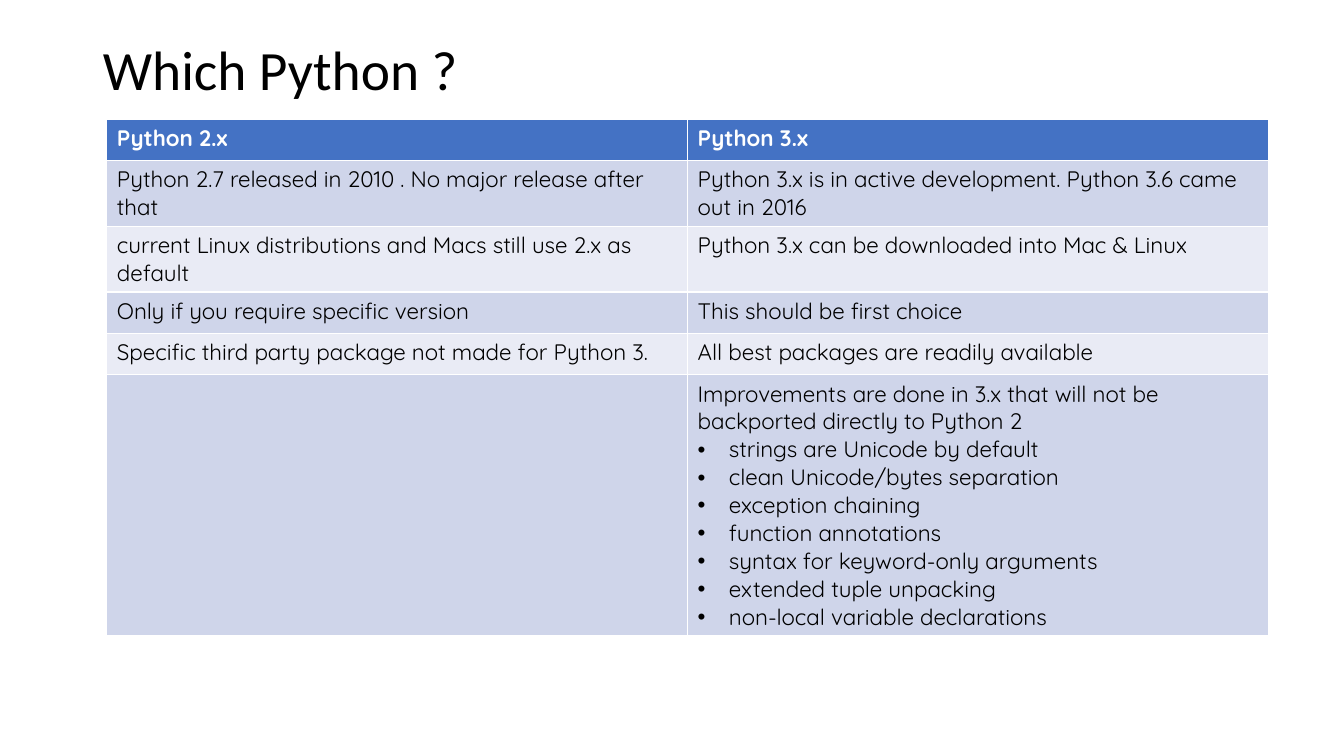
from lxml.etree import SubElement
from pptx import Presentation
from pptx.dml.color import RGBColor
from pptx.enum.text import MSO_ANCHOR, MSO_AUTO_SIZE, PP_ALIGN
from pptx.oxml.ns import qn
from pptx.util import Inches, Pt

COLORS = {
    "text": "000000",
    "header": "4472C4",
    "header_text": "FFFFFF",
    "odd_row": "CFD5EA",
    "even_row": "E9EBF5",
}
IMPROVEMENTS = [
    "strings are Unicode by default",
    "clean Unicode/bytes separation",
    "exception chaining",
    "function annotations",
    "syntax for keyword-only arguments",
    "extended tuple unpacking",
    "non-local variable declarations",
]
COMPARISON = [
    ("Python 2.x", "Python 3.x"),
    ("Python 2.7 released in 2010 . No major release after that",
     "Python 3.x is in active development. Python 3.6 came out in 2016"),
    ("current Linux distributions and Macs still use 2.x as default",
     "Python 3.x can be downloaded into Mac & Linux"),
    ("Only if you require specific version", "This should be first choice"),
    ("Specific third party package not made for Python 3.",
     "All best packages are readily available"),
    ("", "Improvements are done in 3.x that will not be backported directly to Python 2"),
]
ROW_HEIGHT = 0.41


def format_paragraph(para, font_name, size, color, bold=False):
    for span in para.runs:
        span.font.name = font_name
        span.font.size = Pt(size)
        span.font.bold = bold
        span.font.color.rgb = RGBColor.from_string(COLORS[color])


def add_bullet(para):
    properties = para._p.get_or_add_pPr()
    properties.set("marL", str(Inches(0.31)))
    properties.set("indent", str(-Inches(0.31)))
    SubElement(properties, qn("a:buFont")).set("typeface", "Arial")
    SubElement(properties, qn("a:buChar")).set("char", "•")


def add_title(slide, box):
    title = slide.shapes.title
    title.left, title.top, title.width, title.height = map(Inches, box)
    frame = title.text_frame
    frame.text = "Which Python ?"
    frame.auto_size = MSO_AUTO_SIZE.NONE
    frame.vertical_anchor = MSO_ANCHOR.MIDDLE
    para = frame.paragraphs[0]
    para.alignment = PP_ALIGN.LEFT
    para.line_spacing = 0.9
    format_paragraph(para, "Calibri", 39.6, "text")


def fill_cell(cell, text, fill, color, bold):
    cell.fill.solid()
    cell.fill.fore_color.rgb = RGBColor.from_string(COLORS[fill])
    cell.text_frame.text = text
    format_paragraph(cell.text_frame.paragraphs[0], "Quicksand", 16, color, bold)


def add_comparison(slide, box):
    table = slide.shapes.add_table(len(COMPARISON), 2, *map(Inches, box)).table
    for row_index, texts in enumerate(COMPARISON):
        is_header = row_index == 0
        fill = "header" if is_header else "odd_row" if row_index % 2 else "even_row"
        color = "header_text" if is_header else "text"
        for column_index, text in enumerate(texts):
            fill_cell(table.cell(row_index, column_index), text, fill, color, is_header)
    frame = table.cell(len(COMPARISON) - 1, 1).text_frame
    for improvement in IMPROVEMENTS:
        para = frame.add_paragraph()
        para.text = improvement
        add_bullet(para)
        format_paragraph(para, "Quicksand", 16, "text")


def main():
    deck = Presentation()
    deck.slide_width, deck.slide_height = Inches(13.33), Inches(7.5)
    slide = deck.slides.add_slide(deck.slide_layouts[5])
    add_title(slide, (0.92, 0.4, 11.5, 0.64))
    add_comparison(slide, (1.06, 1.18, 11.52, ROW_HEIGHT * len(COMPARISON)))
    deck.save("out.pptx")


if __name__ == "__main__":
    main()
